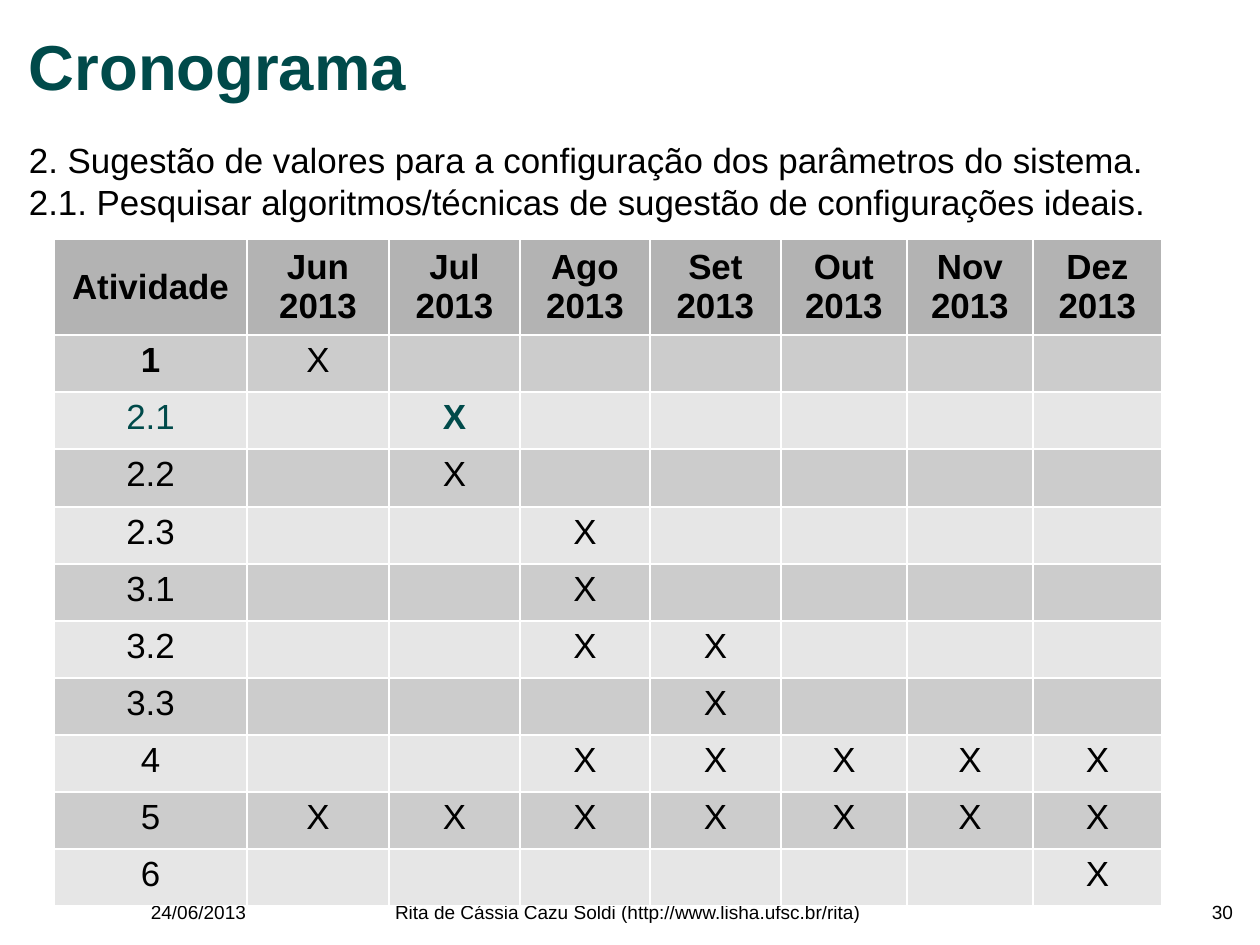
from dataclasses import dataclass

from lxml.etree import SubElement
from pptx import Presentation
from pptx.dml.color import RGBColor
from pptx.enum.text import MSO_ANCHOR as Anchor, PP_ALIGN as Align
from pptx.oxml.ns import qn
from pptx.util import Pt

EMU_PER_PX = 8000


@dataclass(frozen=True)
class Theme:
    font: str = "Arial"
    ink: str = "000000"
    accent: str = "004A4A"
    header_fill: str = "B3B3B3"
    row_fills: tuple = ("CCCCCC", "E6E6E6")
    border: str = "FFFFFF"
    border_width: float = 1.19
    title_size: int = 40
    body_size: int = 22
    footer_size: int = 12


THEME = Theme()
MONTHS = ["Jun", "Jul", "Ago", "Set", "Out", "Nov", "Dez"]
SCHEDULE = {
    "1": ["Jun"],
    "2.1": ["Jul"],
    "2.2": ["Jul"],
    "2.3": ["Ago"],
    "3.1": ["Ago"],
    "3.2": ["Ago", "Set"],
    "3.3": ["Set"],
    "4": MONTHS[2:],
    "5": MONTHS,
    "6": ["Dez"],
}
CURRENT_ACTIVITY = "2.1"
COLUMN_WIDTHS = [193, 142, 131, 130, 131, 126, 126, 129]
ROW_HEIGHTS = [96, 57, 57, 58] + [57] * 7


def px(length):
    return length * EMU_PER_PX


def format_text(frame, size, color=THEME.ink, bold=False, align=Align.LEFT):
    for paragraph in frame.paragraphs:
        paragraph.alignment = align
        for run in paragraph.runs:
            run.font.name = THEME.font
            run.font.size = Pt(size)
            run.font.bold = bold
            run.font.color.rgb = RGBColor.from_string(color)


def add_text(slide, bounds, text, size, **style):
    frame = slide.shapes.add_textbox(*map(px, bounds)).text_frame
    frame.word_wrap = True
    frame.margin_left = frame.margin_right = 0
    frame.margin_top = frame.margin_bottom = 0
    frame.text = text
    format_text(frame, size, **style)
    return frame


def add_inner_borders(cell, row, column):
    inner_sides = {
        "lnL": column > 0,
        "lnR": column < len(COLUMN_WIDTHS) - 1,
        "lnT": row > 0,
        "lnB": row < len(ROW_HEIGHTS) - 1,
    }
    properties = cell._tc.get_or_add_tcPr()
    for side, inner in inner_sides.items():
        if inner:
            edge = SubElement(properties, qn(f"a:{side}"), w=str(Pt(THEME.border_width)))
            SubElement(SubElement(edge, qn("a:solidFill")), qn("a:srgbClr"), val=THEME.border)


def fill_cell(cell, text, fill, anchor=Anchor.TOP, **style):
    cell.fill.solid()
    cell.fill.fore_color.rgb = RGBColor.from_string(fill)
    cell.margin_left = cell.margin_right = px(5)
    cell.margin_top = cell.margin_bottom = px(6)
    cell.vertical_anchor = anchor
    cell.text_frame.text = text
    format_text(cell.text_frame, THEME.body_size, align=Align.CENTER, **style)


def add_schedule(slide):
    schedule = slide.shapes.add_table(
        len(ROW_HEIGHTS), len(COLUMN_WIDTHS),
        px(54), px(239), px(sum(COLUMN_WIDTHS)), px(sum(ROW_HEIGHTS)),
    ).table
    schedule.first_row = schedule.horz_banding = False
    for column, width in zip(schedule.columns, COLUMN_WIDTHS):
        column.width = px(width)
    for row_index, (row, height) in enumerate(zip(schedule.rows, ROW_HEIGHTS)):
        row.height = px(height)
        for column_index, cell in enumerate(row.cells):
            add_inner_borders(cell, row_index, column_index)

    headings = ["Atividade"] + [f"{month}\n2013" for month in MONTHS]
    for cell, heading in zip(schedule.rows[0].cells, headings):
        fill_cell(cell, heading, THEME.header_fill, Anchor.MIDDLE, bold=True)

    for index, (activity, active_months) in enumerate(SCHEDULE.items()):
        fill = THEME.row_fills[index % 2]
        current = activity == CURRENT_ACTIVITY
        color = THEME.accent if current else THEME.ink
        activity_cell, *month_cells = schedule.rows[index + 1].cells
        fill_cell(activity_cell, activity, fill, color=color, bold=activity == "1")
        for cell, month in zip(month_cells, MONTHS):
            mark = "X" if month in active_months else ""
            fill_cell(cell, mark, fill, color=color, bold=current)


def add_footer(slide):
    for left, width, text, align in (
        (32, 333, "24/06/2013", Align.CENTER),
        (900, 333, "30", Align.RIGHT),
        (285, 686, "Rita de Cássia Cazu Soldi (http://www.lisha.ufsc.br/rita)", Align.CENTER),
    ):
        add_text(slide, (left, 900, width, 24), text, THEME.footer_size, align=align)


def main():
    deck = Presentation()
    deck.slide_width, deck.slide_height = px(1260), px(945)
    slide = deck.slides.add_slide(deck.slide_layouts[6])

    add_footer(slide)
    title = add_text(slide, (29, 29, 1057, 86), "Cronograma", THEME.title_size,
                     color=THEME.accent, bold=True)
    title.vertical_anchor = Anchor.MIDDLE
    title.paragraphs[0].line_spacing = 0.8
    add_text(
        slide, (29, 139, 1200, 87),
        "2. Sugestão de valores para a configuração dos parâmetros do sistema.\n"
        "2.1. Pesquisar algoritmos/técnicas de sugestão de configurações ideais.",
        THEME.body_size,
    )
    add_schedule(slide)
    deck.save("out.pptx")


if __name__ == "__main__":
    main()
